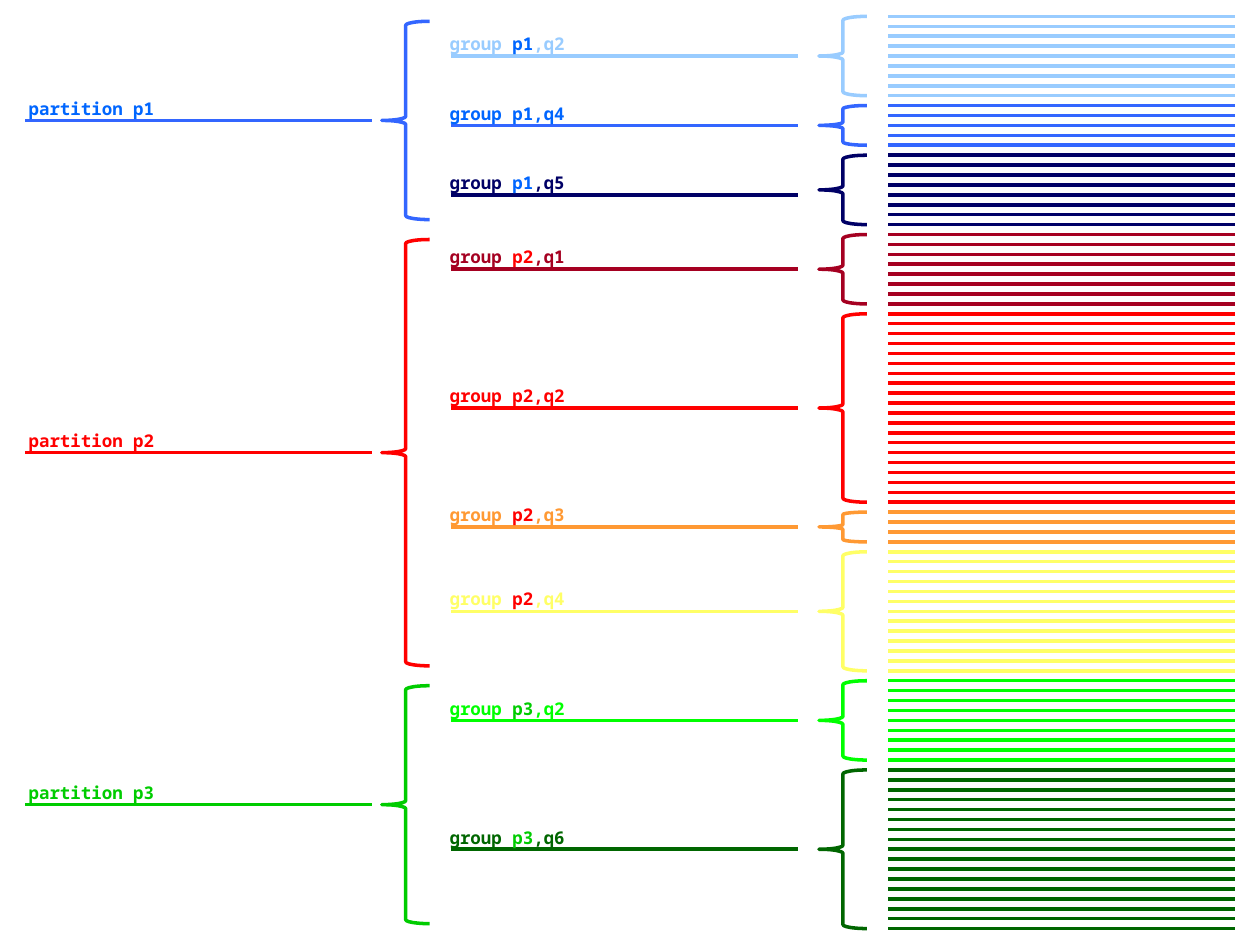
from lxml.etree import SubElement
from pptx import Presentation
from pptx.dml.color import RGBColor
from pptx.enum.shapes import MSO_CONNECTOR, MSO_SHAPE
from pptx.enum.text import MSO_ANCHOR, MSO_AUTO_SIZE, PP_ALIGN
from pptx.oxml.ns import qn
from pptx.util import Inches, Pt

WIDTH, HEIGHT = 10, 7.5
FIRST_ROW, LAST_ROW = 0.13, 7.37
LINE_SHARE, BRACE_SHARE = 0.275, 0.038
LABEL_HEIGHT, LABEL_RISE = 0.27, 0.23

COLUMNS = {
    "partition": {"line": 0.02, "brace": 0.303, "label": 0.012, "label_width": 0.121},
    "group": {"line": 0.358, "brace": 0.65, "label": 0.346, "label_width": 0.113},
    "record": {"line": 0.705},
}

COLORS = {
    "sky": "99CCFF", "blue": "3366FF", "azure": "0066FF", "navy": "000066",
    "crimson": "A50021", "red": "FF0000", "orange": "FF9933", "yellow": "FFFF66",
    "lime": "00FF00", "green": "00CC00", "forest": "006600",
}

# name, line colour, text colour, groups of (name, record count, line colour, text colour, line shift in rows)
PARTITIONS = [
    ("p1", "blue", "azure", [
        ("q2", 9, "sky", "sky", 0),
        ("q4", 5, "blue", "azure", 0),
        ("q5", 8, "navy", "navy", 0.5),
    ]),
    ("p2", "red", "red", [
        ("q1", 8, "crimson", "crimson", 0),
        ("q2", 20, "red", "red", 0),
        ("q3", 4, "orange", "orange", 0),
        ("q4", 13, "yellow", "yellow", 0),
    ]),
    ("p3", "green", "green", [
        ("q2", 9, "lime", "lime", 0),
        ("q6", 17, "forest", "forest", 0),
    ]),
]

ROW_COUNT = sum(group[1] for partition in PARTITIONS for group in partition[3])
ROW_STEP = (LAST_ROW - FIRST_ROW) / (ROW_COUNT - 1)


def across(share):
    return Inches(WIDTH * share)


def down(row):
    return Inches(FIRST_ROW + ROW_STEP * row)


def set_stroke(shape, color):
    shape.line.color.rgb = RGBColor.from_string(COLORS[color])
    shape.line.width = Pt(2)


def add_rule(shapes, column, row, color):
    left = COLUMNS[column]["line"]
    rule = shapes.add_connector(MSO_CONNECTOR.STRAIGHT, across(left), down(row),
                                across(left + LINE_SHARE), down(row))
    set_stroke(rule, color)
    SubElement(rule._element.spPr, qn("a:effectLst"))


def add_brace(shapes, column, first, last, color):
    brace = shapes.add_shape(MSO_SHAPE.LEFT_BRACE, across(COLUMNS[column]["brace"]), down(first),
                             across(BRACE_SHARE), down(last) - down(first))
    brace.shadow.inherit = False
    brace.fill.background()
    set_stroke(brace, color)


def add_text(shapes, spans, *, left, top, width, height, size=10, font="Noto Sans Mono", bold=True):
    box = shapes.add_textbox(left, top, width, height)
    frame = box.text_frame
    frame.word_wrap = False
    frame.auto_size = MSO_AUTO_SIZE.SHAPE_TO_FIT_TEXT
    frame.vertical_anchor = MSO_ANCHOR.TOP
    para = frame.paragraphs[0]
    para.alignment = PP_ALIGN.CENTER
    for text, color in spans:
        span = para.add_run()
        span.text = text
        span.font.size = Pt(size)
        span.font.name = font
        span.font.bold = bold
        span.font.color.rgb = RGBColor.from_string(COLORS[color])


def add_branch(shapes, column, first, last, color, spans, shift=0):
    place = COLUMNS[column]
    row = (first + last) / 2 + shift
    add_rule(shapes, column, row, color)
    add_brace(shapes, column, first, last, color)
    add_text(shapes, spans, left=across(place["label"]), top=down(row) - Inches(LABEL_RISE),
             width=across(place["label_width"]), height=Inches(LABEL_HEIGHT))


def main():
    deck = Presentation()
    deck.slide_width, deck.slide_height = Inches(WIDTH), Inches(HEIGHT)
    page = deck.slides.add_slide(deck.slide_layouts[6])
    group_tier = page.shapes.add_group_shape().shapes
    partition_tier = page.shapes.add_group_shape().shapes

    row = 0
    for partition, color, ink, groups in PARTITIONS:
        start = row
        for group, count, group_color, group_ink, shift in groups:
            last = row + count - 1
            for record in range(row, last + 1):
                add_rule(page.shapes, "record", record, group_color)
            spans = [("group ", group_ink), (partition, ink), (f",{group}", group_ink)]
            add_branch(group_tier, "group", row, last, group_color, spans, shift)
            row += count
        add_branch(partition_tier, "partition", start + 0.5, row - 1.5, color,
                   [(f"partition {partition}", ink)])

    deck.save("out.pptx")


if __name__ == "__main__":
    main()
